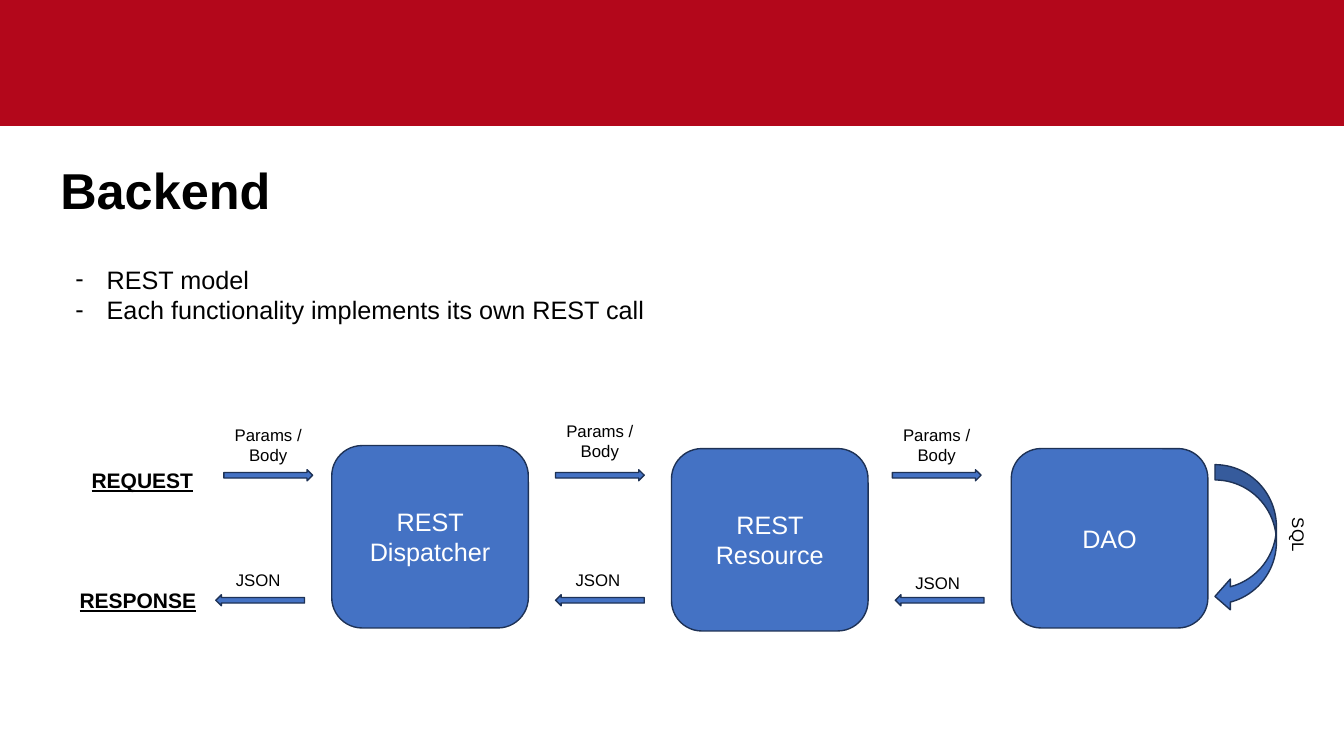
from dataclasses import dataclass

from lxml import etree
from pptx import Presentation
from pptx.dml.color import RGBColor
from pptx.enum.shapes import MSO_SHAPE as SHAPE
from pptx.enum.text import MSO_ANCHOR as ANCHOR, PP_ALIGN as ALIGN
from pptx.oxml.ns import qn
from pptx.util import Inches, Pt

COLORS = {
    "banner": "B3071B",
    "fill": "4472C4",
    "outline": "1E3256",
    "text": "000000",
    "light": "FFFFFF",
}
FONT = "Arial"
ARROW_W, ARROW_H = 0.88, 0.11
REQUEST_Y, RESPONSE_Y = 4.66, 5.9


@dataclass
class Box:
    x: float
    y: float
    w: float
    h: float


@dataclass
class Stage:
    name: str
    box: Box


@dataclass
class Exchange:
    request_x: float
    response_x: float
    params_y: float
    json_x: float
    json_y: float


STAGES = [
    Stage("REST Dispatcher", Box(3.29, 4.42, 1.95, 1.81)),
    Stage("REST Resource", Box(6.66, 4.45, 1.95, 1.81)),
    Stage("DAO", Box(10.03, 4.45, 1.95, 1.78)),
]
EXCHANGES = [
    Exchange(2.22, 2.14, 4.16, 2.24, 5.6),
    Exchange(5.51, 5.51, 4.12, 5.61, 5.6),
    Exchange(8.85, 8.88, 4.16, 8.98, 5.63),
]
ROW_LABELS = [
    ("REQUEST", Box(0.81, 4.59, 1.22, 0.35)),
    ("RESPONSE", Box(0.69, 5.78, 1.41, 0.35)),
]
BULLETS = ["REST model", "Each functionality implements its own REST call"]


def rgb(name: str) -> RGBColor:
    return RGBColor.from_string(COLORS[name])


def place(box: Box) -> tuple:
    return tuple(Inches(v) for v in (box.x, box.y, box.w, box.h))


def add_run(p, text: str, size: float, color: str = "text",
            bold: bool = False, underline: bool = False) -> None:
    r = p.add_run()
    r.text = text
    font = r.font
    font.name, font.size = FONT, Pt(size)
    font.bold, font.underline = bold, underline
    font.color.rgb = rgb(color)


def add_text_frame(s, box: Box):
    sp = s.shapes.add_textbox(*place(box))
    sp.text_frame.word_wrap = True
    return sp


def add_label(s, text: str, box: Box, size: float = 12, align=ALIGN.LEFT,
              bold: bool = False, underline: bool = False):
    sp = add_text_frame(s, box)
    p = sp.text_frame.paragraphs[0]
    p.alignment = align
    add_run(p, text, size, bold=bold, underline=underline)
    return sp


def add_figure(s, kind, box: Box, fill: str = "fill", outlined: bool = True):
    sp = s.shapes.add_shape(kind, *place(box))
    sp.shadow.inherit = False
    sp.fill.solid()
    sp.fill.fore_color.rgb = rgb(fill)
    if outlined:
        sp.line.color.rgb = rgb("outline")
        sp.line.width = Pt(1)
    else:
        sp.line.fill.background()
    return sp


def add_stage(s, stage: Stage) -> None:
    tf = add_figure(s, SHAPE.ROUNDED_RECTANGLE, stage.box).text_frame
    tf.word_wrap = True
    tf.vertical_anchor = ANCHOR.MIDDLE
    p = tf.paragraphs[0]
    p.alignment = ALIGN.CENTER
    add_run(p, stage.name, 18, "light")


def add_exchange(s, ex: Exchange) -> None:
    for x, y, turn in ((ex.request_x, REQUEST_Y, 0), (ex.response_x, RESPONSE_Y, 180)):
        arrow = add_figure(s, SHAPE.RIGHT_ARROW, Box(x, y, ARROW_W, ARROW_H))
        arrow.rotation = turn
    add_label(s, "Params / Body", Box(ex.request_x, ex.params_y, ARROW_W, 0.71),
              align=ALIGN.CENTER)
    add_label(s, "JSON", Box(ex.json_x, ex.json_y, 0.68, 0.3))


def add_bullets(s, items: list[str], box: Box) -> None:
    tf = add_text_frame(s, box).text_frame
    for i, item in enumerate(items):
        p = tf.paragraphs[0] if i == 0 else tf.add_paragraph()
        pPr = p._p.get_or_add_pPr()
        pPr.set("marL", str(Inches(0.31)))
        pPr.set("indent", str(-Inches(0.31)))
        etree.SubElement(pPr, qn("a:buFont"), typeface=FONT)
        etree.SubElement(pPr, qn("a:buChar"), char="-")
        add_run(p, item, 18)


def main() -> None:
    prs = Presentation()
    prs.slide_width, prs.slide_height = Inches(13.33), Inches(7.5)
    s = prs.slides.add_slide(prs.slide_layouts[6])

    # Banner, title and bullets
    add_figure(s, SHAPE.RECTANGLE, Box(0, 0, 13.33, 1.25), "banner", outlined=False)
    title = add_label(s, "Backend", Box(0.5, 1.27, 12.83, 1.3), 36, bold=True)
    title.text_frame.vertical_anchor = ANCHOR.MIDDLE
    title.text_frame.paragraphs[0].line_spacing = 0.9
    add_bullets(s, BULLETS, Box(0.65, 2.57, 11.72, 1.01))

    # Request and response flow
    for text, box in ROW_LABELS:
        add_label(s, text, box, 15, bold=True, underline=True)
    for stage in STAGES:
        add_stage(s, stage)
    for ex in EXCHANGES:
        add_exchange(s, ex)

    # Database loop
    add_figure(s, SHAPE.CURVED_LEFT_ARROW, Box(12.05, 4.61, 0.61, 1.46))
    add_label(s, "SQL", Box(12.57, 5.2, 0.62, 0.3)).rotation = 90

    prs.save("out.pptx")


if __name__ == "__main__":
    main()
